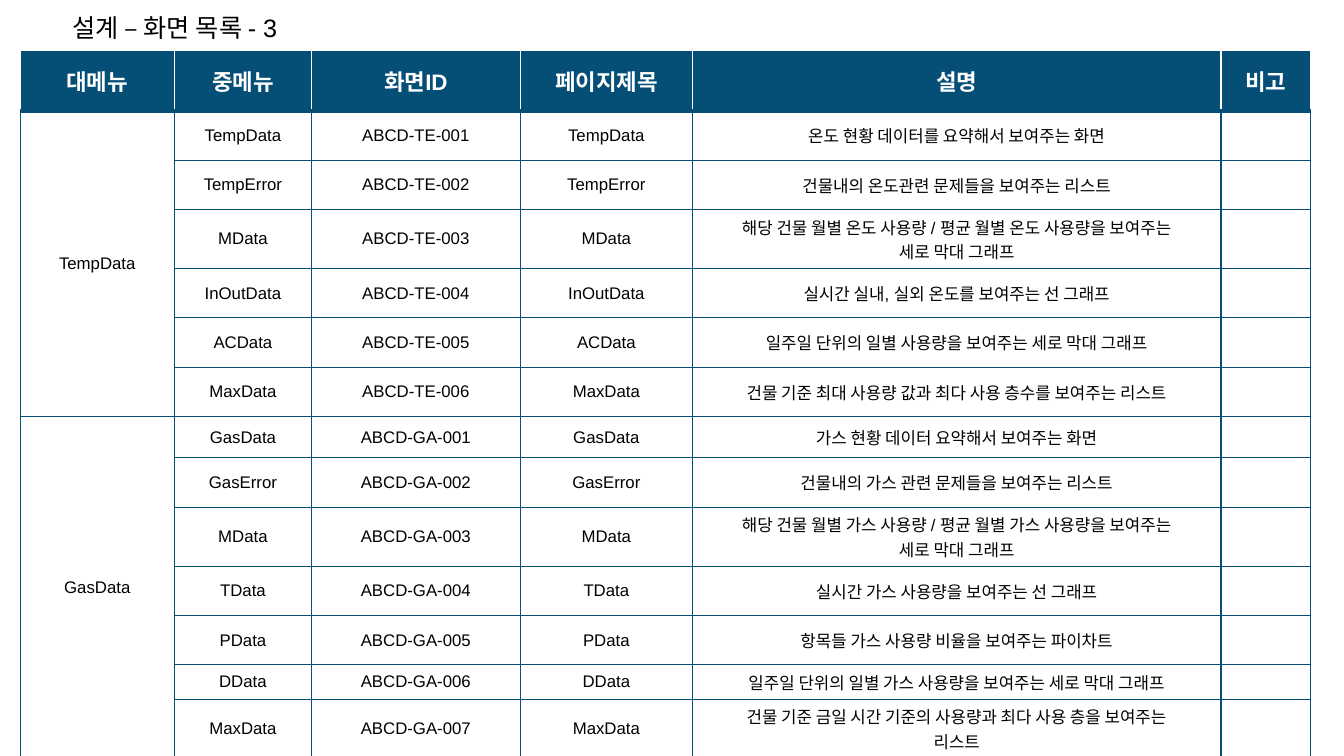
from lxml.etree import SubElement
from pptx import Presentation
from pptx.dml.color import RGBColor
from pptx.enum.text import MSO_ANCHOR, MSO_AUTO_SIZE, PP_ALIGN
from pptx.oxml.ns import qn
from pptx.util import Inches, Pt

FONT = "Arial"
NAVY, WHITE, BLACK = "054E76", "FFFFFF", "000000"
HEADERS = ["대메뉴", "중메뉴", "화면ID", "페이지제목", "설명", "비고"]
COLUMN_WIDTHS = [1.53, 1.36, 2.07, 1.71, 5.24, 0.89]
ROW_HEIGHTS = [0.6] + [0.49] * 6 + [0.41, 0.49, 0.48, 0.49, 0.49, 0.28, 0.47]

# Main menu, screen code, then (submenu, description) for each screen
MENUS = [
    ("TempData", "TE", [
        ("TempData", "온도 현황 데이터를 요약해서 보여주는 화면"),
        ("TempError", "건물내의 온도관련 문제들을 보여주는 리스트"),
        ("MData", "해당 건물 월별 온도 사용량 / 평균 월별 온도 사용량을 보여주는\n세로 막대 그래프"),
        ("InOutData", "실시간 실내, 실외 온도를 보여주는 선 그래프"),
        ("ACData", "일주일 단위의 일별 사용량을 보여주는 세로 막대 그래프"),
        ("MaxData", "건물 기준 최대 사용량 값과 최다 사용 층수를 보여주는 리스트"),
    ]),
    ("GasData", "GA", [
        ("GasData", "가스 현황 데이터 요약해서 보여주는 화면"),
        ("GasError", "건물내의 가스 관련 문제들을 보여주는 리스트"),
        ("MData", "해당 건물 월별 가스 사용량 / 평균 월별 가스 사용량을 보여주는\n세로 막대 그래프"),
        ("TData", "실시간 가스 사용량을 보여주는 선 그래프"),
        ("PData", "항목들 가스 사용량 비율을 보여주는 파이차트"),
        ("DData", "일주일 단위의 일별 가스 사용량을 보여주는 세로 막대 그래프"),
        ("MaxData", "건물 기준 금일 시간 기준의 사용량과 최다 사용 층을 보여주는\n리스트"),
    ]),
]


def rgb(color):
    return RGBColor.from_string(color)


def write_text(frame, text, *, size, color=BLACK, bold=False,
               align=PP_ALIGN.LEFT, line_spacing=None):
    for index, line in enumerate(text.split("\n")):
        para = frame.paragraphs[0] if index == 0 else frame.add_paragraph()
        para.alignment = align
        para.line_spacing = line_spacing
        if not line:
            # An empty cell still needs its text size, or its row grows
            SubElement(para._p, qn("a:endParaRPr"), sz=str(size * 100))
            continue
        span = para.add_run()
        span.text = line
        span.font.name = FONT
        span.font.size = Pt(size)
        span.font.bold = bold
        span.font.color.rgb = rgb(color)


def set_border(cell, side, color, width):
    line = SubElement(cell._tc.get_or_add_tcPr(), qn(f"a:ln{side}"),
                      w=str(Pt(width)), cmpd="sng")
    fill = SubElement(line, qn("a:solidFill"))
    SubElement(fill, qn("a:srgbClr"), val=color)


def format_cell(cell, text, is_header, below_header):
    edge = WHITE if is_header else NAVY
    borders = {"L": (edge, 1), "R": (edge, 1),
               "T": (NAVY, 3) if below_header else (edge, 1),
               "B": (NAVY, 3) if is_header else (NAVY, 1)}
    for side, (color, width) in borders.items():
        set_border(cell, side, color, width)
    cell.fill.solid()
    cell.fill.fore_color.rgb = rgb(NAVY if is_header else WHITE)
    cell.vertical_anchor = MSO_ANCHOR.MIDDLE
    write_text(cell.text_frame, text, size=16 if is_header else 12,
               color=WHITE if is_header else BLACK, bold=is_header,
               align=PP_ALIGN.CENTER)


def screen_rows():
    rows = [HEADERS]
    for menu, code, screens in MENUS:
        for number, (name, description) in enumerate(screens, 1):
            rows.append([menu if number == 1 else "", name,
                         f"ABCD-{code}-{number:03}", name, description, ""])
    return rows


def add_title(page, text):
    title = page.shapes.title
    title.left, title.top = Inches(0.62), Inches(0)
    title.width, title.height = Inches(3.95), Inches(0.59)
    frame = title.text_frame
    frame.word_wrap = True
    frame.auto_size = MSO_AUTO_SIZE.NONE
    frame.vertical_anchor = MSO_ANCHOR.MIDDLE
    write_text(frame, text, size=18, line_spacing=0.9)


def add_screen_table(page):
    rows = screen_rows()
    table = page.shapes.add_table(
        len(rows), len(HEADERS), Inches(0.2), Inches(0.5),
        Inches(sum(COLUMN_WIDTHS)), Inches(sum(ROW_HEIGHTS))).table
    for column, width in zip(table.columns, COLUMN_WIDTHS):
        column.width = Inches(width)
    for row, height in zip(table.rows, ROW_HEIGHTS):
        row.height = Inches(height)
    for row_index, texts in enumerate(rows):
        for column_index, text in enumerate(texts):
            format_cell(table.cell(row_index, column_index), text,
                        row_index == 0, row_index == 1)

    # Each main menu spans all of its screens
    first = 1
    for _, _, screens in MENUS:
        last = first + len(screens) - 1
        table.cell(first, 0).merge(table.cell(last, 0))
        first = last + 1


def main():
    deck = Presentation()
    deck.slide_width, deck.slide_height = Inches(13.33), Inches(7.5)
    page = deck.slides.add_slide(deck.slide_layouts[5])
    add_title(page, "설계 – 화면 목록 - 3")
    add_screen_table(page)
    deck.save("out.pptx")


if __name__ == "__main__":
    main()
